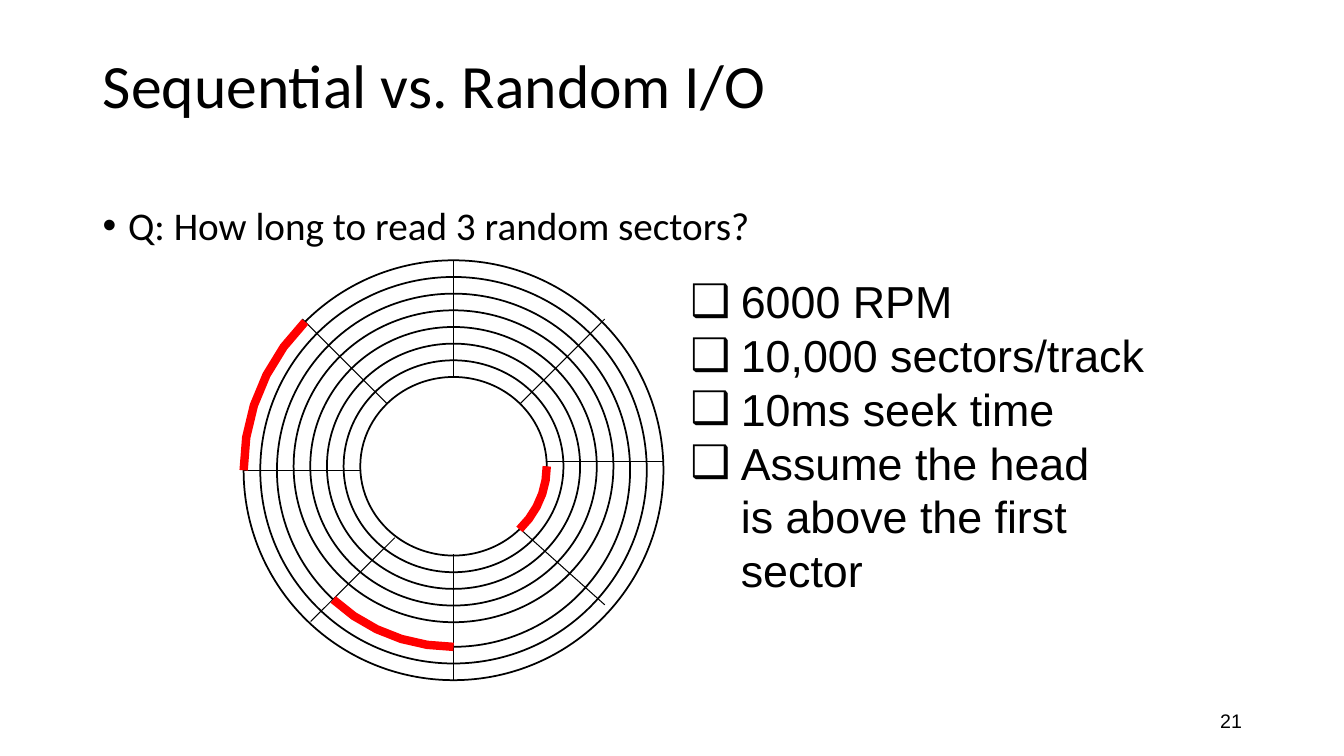
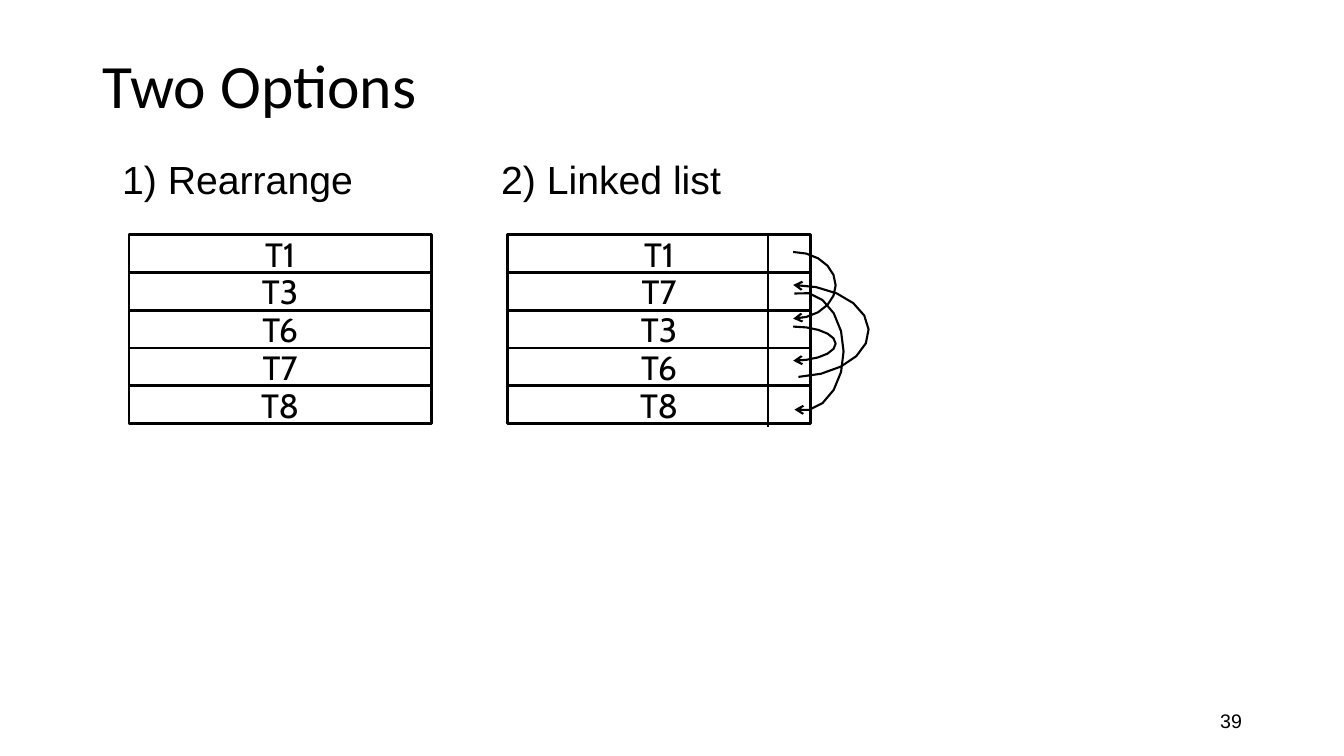
import math

import pptx
import pptx.dml.color
import pptx.enum.shapes
import pptx.enum.text
import pptx.oxml.ns
import pptx.util
from lxml import etree

Cm = pptx.util.Cm
Pt = pptx.util.Pt
ALIGN = pptx.enum.text.PP_ALIGN
ANCHOR = pptx.enum.text.MSO_ANCHOR
AUTO_SIZE = pptx.enum.text.MSO_AUTO_SIZE
SHAPE = pptx.enum.shapes.MSO_SHAPE
STRAIGHT = pptx.enum.shapes.MSO_CONNECTOR.STRAIGHT
qn = pptx.oxml.ns.qn

BLACK = pptx.dml.color.RGBColor(0x00, 0x00, 0x00)
WHITE = pptx.dml.color.RGBColor(0xFF, 0xFF, 0xFF)
RED = pptx.dml.color.RGBColor(0xFF, 0x00, 0x00)

HEADING_FONT, BODY_FONT, ROW_FONT = "Calibri", "Arial", "Cabin"

# Disk geometry in cm
DISK_X, DISK_Y, DISK_RADIUS = 11.43, 11.85, 5.29
RING_COUNT, RING_GAP = 8, 0.42
SPOKES = [
    (11.43, 6.56, 11.43, 9.53), (11.43, 13.97, 11.43, 17.14),
    (13.76, 11.64, 16.72, 11.64), (6.14, 11.85, 9.1, 11.85),
    (7.62, 8.04, 9.74, 10.16), (13.12, 13.34, 15.24, 15.24),
    (13.12, 10.16, 15.24, 8.04), (9.95, 13.55, 7.83, 15.66),
]
# Ring index, start and end angle of each sector to read
SECTORS = [(0, 225, 180), (7, 0, 45), (2, 90, 133)]

# Record rows in cm
ROW_TOP, ROW_WIDTH, ROW_HEIGHT = 5.92, 7.62, 0.95
# Centre, radii, start and end angle of each pointer
POINTERS = [
    (19.99, 7.19, 1.07, 0.84, -90, 90),
    (19.99, 8.66, 1.07, 0.43, -90, 90),
    (19.99, 8.34, 1.9, 1.16, 86, -90),
    (20.22, 8.86, 1.04, 1.49, -101, 101),
]


def add_run(p, text, size, font):
    r = p.add_run()
    r.text = text
    r.font.size = Pt(size)
    r.font.name = font
    r.font.color.rgb = BLACK


def set_line(shape, width, color=BLACK):
    shape.line.color.rgb = color
    shape.line.width = Pt(width)


def set_bullet(p, char, indent):
    """Give the paragraph a bullet with a hanging indent in cm."""
    pPr = p._p.get_or_add_pPr()
    pPr.set("marL", str(Cm(indent)))
    pPr.set("indent", str(-Cm(indent)))
    etree.SubElement(pPr, qn("a:buFont")).set("typeface", BODY_FONT)
    etree.SubElement(pPr, qn("a:buChar")).set("char", char)


def add_text_box(s, x, y, w, h, wrap=True):
    tf = s.shapes.add_textbox(Cm(x), Cm(y), Cm(w), Cm(h)).text_frame
    tf.word_wrap = wrap
    return tf


def add_slide(prs, title, number):
    """Add a title-only slide with the shared title style and page number."""
    s = prs.slides.add_slide(prs.slide_layouts[5])
    sp = s.shapes.title
    sp.left, sp.top, sp.width, sp.height = Cm(2.34), Cm(0.84), Cm(29.21), Cm(2.77)
    sp.text_frame.vertical_anchor = ANCHOR.MIDDLE
    p = sp.text_frame.paragraphs[0]
    p.alignment = ALIGN.LEFT
    p.line_spacing = 0.9
    add_run(p, title, 44, HEADING_FONT)

    tf = add_text_box(s, 23.93, 17.65, 7.62, 1.02)
    tf.vertical_anchor = ANCHOR.MIDDLE
    tf.paragraphs[0].alignment = ALIGN.RIGHT
    add_run(tf.paragraphs[0], number, 14, BODY_FONT)
    return s


def add_line(s, x1, y1, x2, y2, width):
    cxn = s.shapes.add_connector(STRAIGHT, Cm(x1), Cm(y1), Cm(x2), Cm(y2))
    set_line(cxn, width)
    etree.SubElement(cxn._element.spPr, qn("a:effectLst"))


def add_arc(s, cx, cy, rx, ry, start, end, steps, width, color=BLACK):
    """Draw part of an ellipse; angles in degrees, clockwise from the right."""
    angles = [math.radians(start + (end - start) * i / steps)
              for i in range(steps + 1)]
    points = [(Cm(cx + rx * math.cos(a)), Cm(cy + ry * math.sin(a)))
              for a in angles]
    builder = s.shapes.build_freeform(*points[0])
    builder.add_line_segments(points[1:], close=False)
    sp = builder.convert_to_shape()
    sp.fill.background()
    set_line(sp, width, color)
    sp.shadow.inherit = False
    return sp


def ring_geometry(i):
    """Return centre and radii of a ring; the inner ones are slightly flat."""
    radius = DISK_RADIUS - i * RING_GAP
    squeeze = 0.1 if i >= 3 else 0
    return DISK_X, DISK_Y - squeeze, radius, radius - squeeze


def add_disk(s):
    for i in range(RING_COUNT):
        cx, cy, rx, ry = ring_geometry(i)
        sp = s.shapes.add_shape(SHAPE.OVAL, Cm(cx - rx), Cm(cy - ry),
                                Cm(2 * rx), Cm(2 * ry))
        sp.fill.background()
        set_line(sp, 1.25)
        sp.shadow.inherit = False
    for spoke in SPOKES:
        add_line(s, *spoke, 0.75)


def add_sectors(s):
    for ring, start, end in SECTORS:
        add_arc(s, *ring_geometry(ring), start, end, 5, 6, RED)


def add_pointers(s):
    for pointer in POINTERS:
        sp = add_arc(s, *pointer, 10, 1.5)
        ln = sp.line._get_or_add_ln()
        etree.SubElement(ln, qn("a:tailEnd")).set("type", "arrow")


def add_checklist(s, items):
    """Add boxed bullets; each item is a list of lines."""
    tf = add_text_box(s, 17.15, 6.78, 12.5, 8.46)
    for i, lines in enumerate(items):
        p = tf.paragraphs[0] if i == 0 else tf.add_paragraph()
        set_bullet(p, "❑", 1.27)
        for j, line in enumerate(lines):
            if j:
                p.add_line_break()
            add_run(p, line, 32, BODY_FONT)


def add_records(s, x, heading, heading_width, names):
    """Add a heading and a stack of record rows below it."""
    tf = add_text_box(s, x - 0.42, 3.78, heading_width, 1.45, wrap=False)
    tf.auto_size = AUTO_SIZE.SHAPE_TO_FIT_TEXT
    add_run(tf.paragraphs[0], heading, 28, BODY_FONT)
    for i, name in enumerate(names):
        sp = s.shapes.add_shape(SHAPE.RECTANGLE, Cm(x), Cm(ROW_TOP + i * ROW_HEIGHT),
                                Cm(ROW_WIDTH), Cm(ROW_HEIGHT))
        sp.fill.solid()
        sp.fill.fore_color.rgb = WHITE
        set_line(sp, 2)
        sp.shadow.inherit = False
        tf = sp.text_frame
        tf.word_wrap = False
        tf.vertical_anchor = ANCHOR.MIDDLE
        tf.paragraphs[0].alignment = ALIGN.CENTER
        add_run(tf.paragraphs[0], name, 24, ROW_FONT)


def build_random_io(prs):
    s = add_slide(prs, "Sequential vs. Random I/O", "21")
    tf = add_text_box(s, 2.34, 3.91, 29.21, 13.26)
    tf.margin_top = Cm(1.17)
    set_bullet(tf.paragraphs[0], "•", 0.64)
    add_run(tf.paragraphs[0], "Q: How long to read 3 random sectors?", 28, HEADING_FONT)
    add_disk(s)
    add_checklist(s, [
        ["6000 RPM"],
        ["10,000 sectors/track"],
        ["10ms seek time"],
        ["Assume the head", "is above the first", "sector"],
    ])
    add_sectors(s)


def build_two_options(prs):
    s = add_slide(prs, "Two Options", "39")
    add_records(s, 3.25, "1) Rearrange", 6.35, ["T1", "T3", "T6", "T7", "T8"])
    add_records(s, 12.8, "2) Linked list", 6.07, ["T1", "T7", "T3", "T6", "T8"])
    add_line(s, 19.35, ROW_TOP, 19.35, 10.77, 1.5)
    add_pointers(s)


def main():
    prs = pptx.Presentation()
    prs.slide_width, prs.slide_height = Cm(33.87), Cm(19.05)
    build_random_io(prs)
    build_two_options(prs)
    prs.save("out.pptx")


if __name__ == "__main__":
    main()
